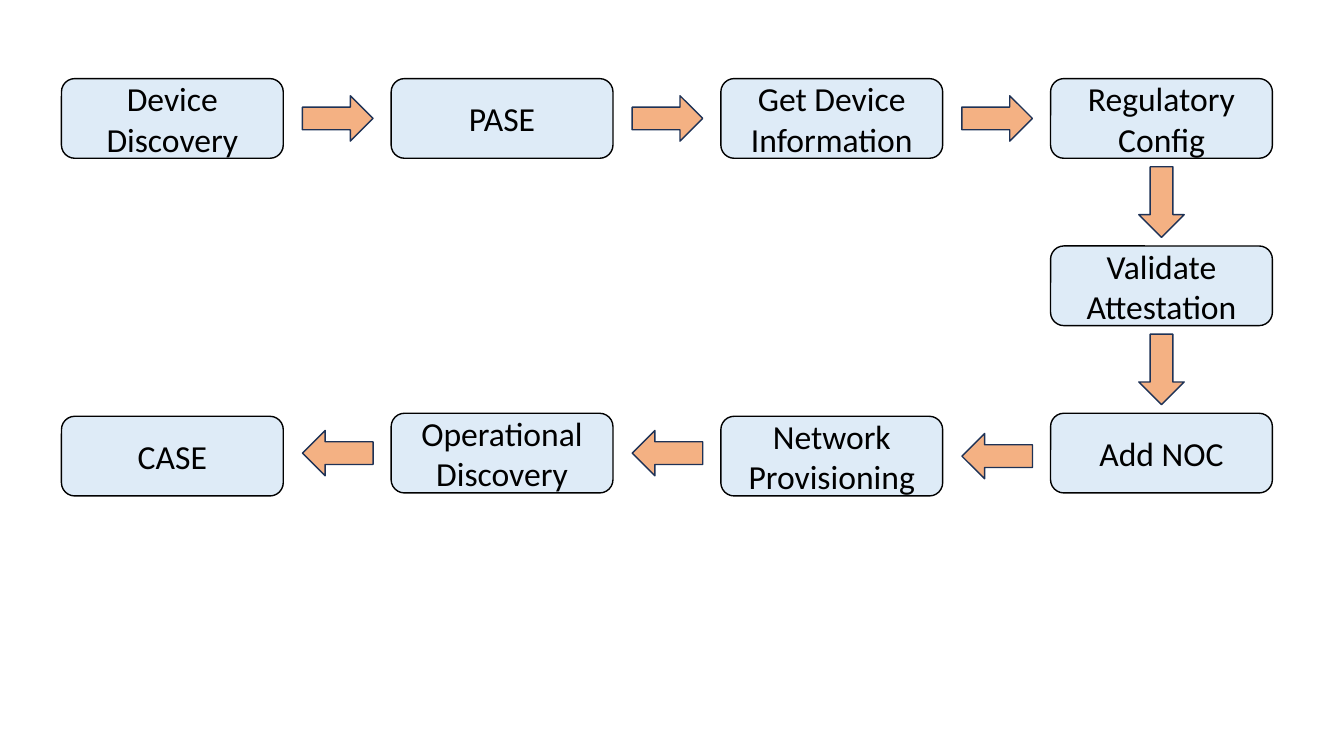
from pptx import Presentation, util as u
from pptx.dml import color
from pptx.enum import shapes, text

PX = u.Inches(1) // 100
COLUMN_LEFT, COLUMN_STEP = 61, 327
ROW_TOP, ROW_STEP = 78, 166
STEP_SIZE = (220, 79)
ARROW_SIZE = (70, 45)

presentation = Presentation()
presentation.slide_width = 1333 * PX
presentation.slide_height = 750 * PX
slide = presentation.slides.add_slide(presentation.slide_layouts[6])


def rgb(value):
    return color.RGBColor.from_string(value)


def add_block(kind, left, top, size, fill, line):
    width, height = size
    shape = slide.shapes.add_shape(kind, left * PX, top * PX, width * PX, height * PX)
    shape.shadow.inherit = False
    shape.fill.solid()
    shape.fill.fore_color.rgb = rgb(fill)
    shape.line.color.rgb = rgb(line)
    shape.line.width = u.Pt(1)
    return shape


steps = [
    ("Device Discovery", 0, 0, 0),
    ("PASE", 1, 0, 0),
    ("Get Device Information", 2, 0, 0),
    ("Regulatory Config", 3, 0, 0),
    ("Validate Attestation", 3, 1, 0),
    ("Add NOC", 3, 2, 0),
    ("Network Provisioning", 2, 2, 3),
    ("Operational Discovery", 1, 2, 0),
    ("CASE", 0, 2, 3),
]
font_format = {"name": "Calibri", "size": u.Pt(24)}

for label, column, row, drop in steps:
    left = COLUMN_LEFT + column * COLUMN_STEP
    top = ROW_TOP + row * ROW_STEP + drop
    step = add_block(shapes.MSO_SHAPE.ROUNDED_RECTANGLE, left, top, STEP_SIZE, "DEEBF7", "000000")
    frame = step.text_frame
    frame.word_wrap = True
    frame.vertical_anchor = text.MSO_ANCHOR.MIDDLE
    paragraph = frame.paragraphs[0]
    paragraph.alignment = text.PP_ALIGN.CENTER
    run = paragraph.add_run()
    run.text = label
    for name, value in font_format.items():
        setattr(run.font, name, value)
    run.font.color.rgb = rgb("000000")

arrows = [(300 + gap * COLUMN_STEP, 95, 0) for gap in range(3)]
arrows += [(1117, ROW_TOP + 100 + row * ROW_STEP, 90) for row in range(2)]
arrows += [(300 + gap * COLUMN_STEP, top, 180) for gap, top in ((2, 430), (1, 427), (0, 427))]

for left, top, rotation in arrows:
    arrow = add_block(shapes.MSO_SHAPE.RIGHT_ARROW, left, top, ARROW_SIZE, "F4B183", "1E3256")
    arrow.rotation = rotation

presentation.save("out.pptx")
